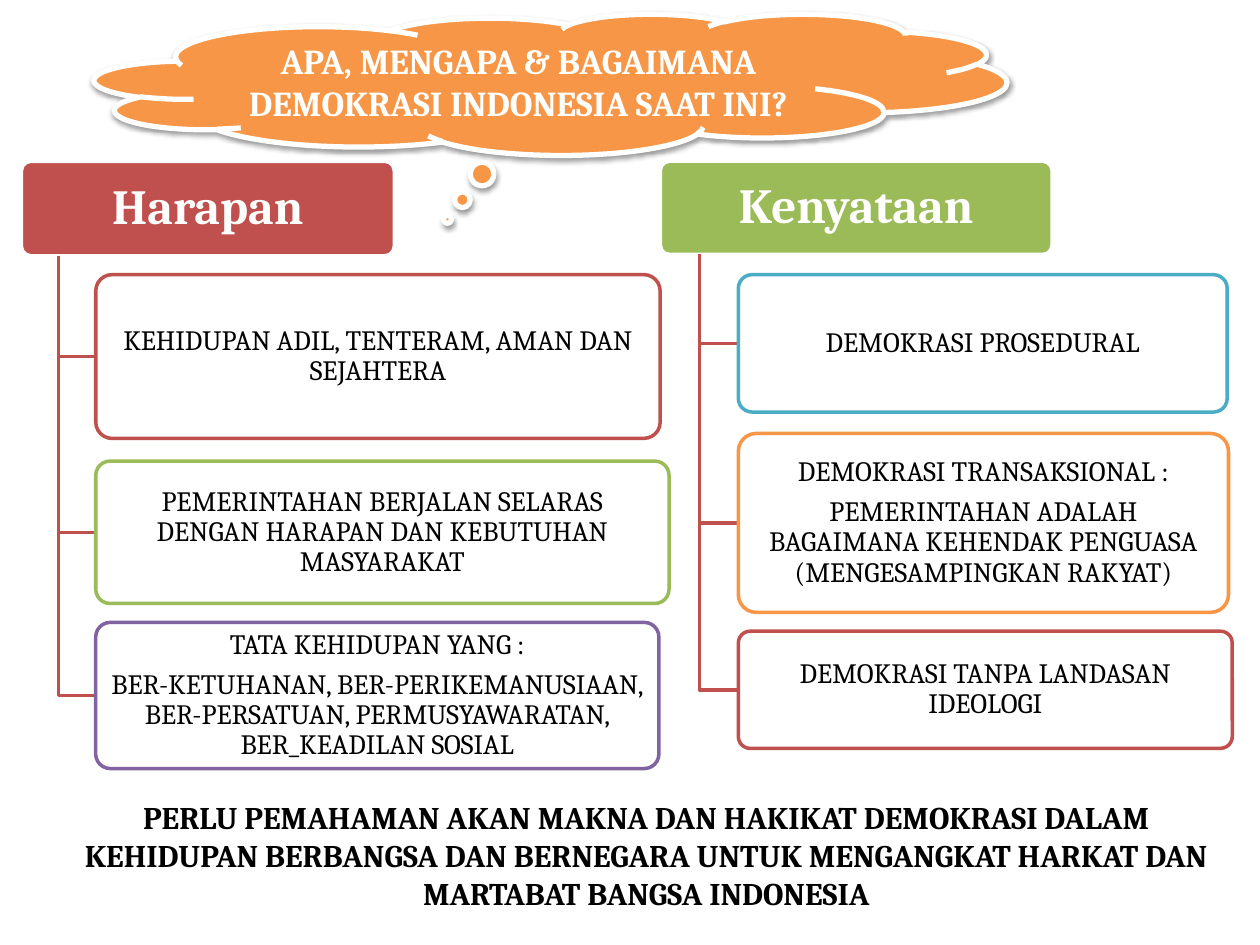
from dataclasses import dataclass

import pptx
import pptx.dml.color
import pptx.enum.shapes
import pptx.enum.text
import pptx.oxml
import pptx.oxml.ns
import pptx.util

Inches = pptx.util.Inches
Pt = pptx.util.Pt
Shape = pptx.enum.shapes.MSO_SHAPE
FONT = "Cambria"
RED, GREEN, PURPLE = "C0504D", "9BBB59", "8064A2"
AQUA, ORANGE, WHITE, BLACK = "4BACC6", "F79646", "FFFFFF", "000000"


@dataclass
class Item:
    top: float
    width: float
    height: float
    color: str
    lines: list[str]


@dataclass
class Column:
    left: float
    width: float
    height: float
    color: str
    heading: str
    item_left: float
    items: list[Item]


COLUMNS = [
    Column(0.17, 2.96, 0.75, RED, "Harapan", 0.76, [
        Item(2.18, 4.48, 1.3, RED, ["KEHIDUPAN ADIL, TENTERAM, AMAN DAN SEJAHTERA"]),
        Item(3.66, 4.55, 1.13, GREEN, [
            "PEMERINTAHAN BERJALAN SELARAS DENGAN HARAPAN DAN KEBUTUHAN MASYARAKAT"]),
        Item(4.94, 4.47, 1.16, PURPLE, [
            "TATA KEHIDUPAN YANG :",
            "BER-KETUHANAN, BER-PERIKEMANUSIAAN, BER-PERSATUAN, "
            "PERMUSYAWARATAN, BER_KEADILAN SOSIAL"]),
    ]),
    Column(5.24, 3.11, 0.74, GREEN, "Kenyataan", 5.86, [
        Item(2.18, 3.88, 1.09, AQUA, ["DEMOKRASI PROSEDURAL"]),
        Item(3.44, 3.89, 1.42, ORANGE, [
            "DEMOKRASI TRANSAKSIONAL :",
            "PEMERINTAHAN ADALAH BAGAIMANA KEHENDAK PENGUASA (MENGESAMPINGKAN RAKYAT)"]),
        Item(5.01, 3.92, 0.93, RED, ["DEMOKRASI TANPA LANDASAN IDEOLOGI"]),
    ]),
]
HEADING_TOP = 1.28


def rgb(value: str) -> pptx.dml.color.RGBColor:
    return pptx.dml.color.RGBColor.from_string(value)


def paint(shape, fill: str | None, line: str, width: float) -> None:
    shape.shadow.inherit = False
    if fill:
        shape.fill.solid()
        shape.fill.fore_color.rgb = rgb(fill)
    else:
        shape.fill.background()
    shape.line.color.rgb = rgb(line)
    shape.line.width = Pt(width)


def write(shape, lines: list[str], size: float, color: str, bold: bool,
          inset: tuple[float, float] = (0.1, 0.05), **spacing) -> None:
    """Fill a shape with centred paragraphs."""
    frame = shape.text_frame
    across, down = map(Inches, inset)
    frame_format = {
        "word_wrap": True,
        "vertical_anchor": pptx.enum.text.MSO_ANCHOR.MIDDLE,
        "margin_left": across, "margin_right": across,
        "margin_top": down, "margin_bottom": down,
    }
    for name, value in frame_format.items():
        setattr(frame, name, value)
    for number, text in enumerate(lines):
        para = frame.add_paragraph() if number else frame.paragraphs[0]
        para.alignment = pptx.enum.text.PP_ALIGN.CENTER
        for name, value in spacing.items():
            setattr(para, name, value)
        span = para.add_run()
        span.text = text
        for name, value in {"name": FONT, "size": Pt(size), "bold": bold}.items():
            setattr(span.font, name, value)
        span.font.color.rgb = rgb(color)


def add_rounded(page, left: float, top: float, width: float, height: float):
    box = page.shapes.add_shape(
        Shape.ROUNDED_RECTANGLE, *map(Inches, (left, top, width, height)))
    box.adjustments[0] = 0.1
    return box


def add_branch(page, start: tuple[float, float], end: tuple[float, float]) -> None:
    """Draw an open elbow: down from start, then across to end."""
    points = [tuple(map(Inches, point)) for point in (start, (start[0], end[1]), end)]
    builder = page.shapes.build_freeform(*points[0])
    builder.add_line_segments(points[1:], close=False)
    paint(builder.convert_to_shape(), None, RED, 2)


def add_column(page, column: Column) -> None:
    heading = add_rounded(page, column.left, HEADING_TOP, column.width, column.height)
    paint(heading, column.color, WHITE, 2)
    write(heading, [column.heading], 28, WHITE, True, (0.08, 0.06),
          line_spacing=0.9, space_after=Pt(9.8))
    stem = (column.left + column.width / 10, HEADING_TOP + column.height)
    for item in column.items:
        add_branch(page, stem, (column.item_left, item.top + item.height / 2))
        box = add_rounded(page, column.item_left, item.top, item.width, item.height)
        paint(box, WHITE, item.color, 2)
        write(box, item.lines, 16, BLACK, False, (0.07, 0.06),
              line_spacing=0.9, space_after=Pt(5.6))


def add_title(page) -> None:
    """Draw the thought cloud and lay the title over its text area."""
    cloud = page.shapes.add_shape(
        Shape.CLOUD_CALLOUT, *map(Inches, (0.75, 0.11, 7.24, 1.12)))
    cloud.adjustments[0], cloud.adjustments[1] = -0.113, 0.956
    paint(cloud, ORANGE, WHITE, 3)
    effects = cloud.element.spPr.find(pptx.oxml.ns.qn("a:effectLst"))
    effects.append(pptx.oxml.parse_xml(
        f'<a:outerShdw {pptx.oxml.ns.nsdecls("a")} blurRad="{Pt(3.1)}" '
        f'dist="{Pt(1.6)}" dir="5400000" rotWithShape="0">'
        '<a:srgbClr val="000000"><a:alpha val="38000"/></a:srgbClr></a:outerShdw>'))
    title = page.shapes.title
    place = {"left": 1.75, "top": 0.28, "width": 4.73, "height": 0.73}
    for name, value in place.items():
        setattr(title, name, Inches(value))
    write(title, ["APA, MENGAPA & BAGAIMANA DEMOKRASI INDONESIA SAAT INI?"],
          20, WHITE, True)
    cloud.element.addnext(title.element)


def main() -> None:
    deck = pptx.Presentation()
    deck.slide_width, deck.slide_height = Inches(10), Inches(7.5)
    page = deck.slides.add_slide(deck.slide_layouts[5])

    add_title(page)
    for column in COLUMNS:
        add_column(page, column)

    # Conclusion
    conclusion = page.shapes.add_textbox(*map(Inches, (0.48, 6.28, 9.3, 1.01)))
    write(conclusion, [
        "PERLU PEMAHAMAN AKAN MAKNA DAN HAKIKAT DEMOKRASI DALAM KEHIDUPAN BERBANGSA "
        "DAN BERNEGARA UNTUK MENGANGKAT HARKAT DAN MARTABAT BANGSA INDONESIA"],
        18, BLACK, True)

    deck.save("out.pptx")


if __name__ == "__main__":
    main()
